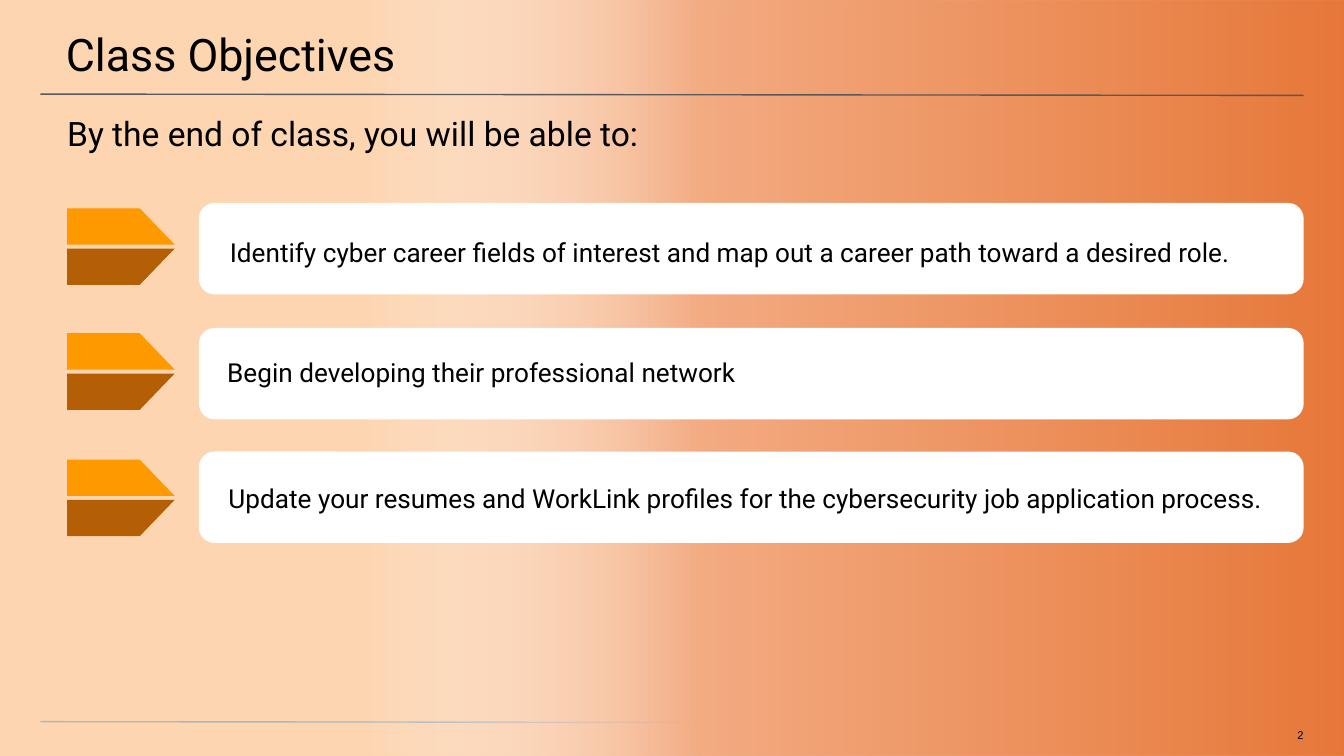
from lxml import etree
from pptx import Presentation
from pptx.dml.color import RGBColor
from pptx.enum.shapes import MSO_CONNECTOR as Connector, MSO_SHAPE as Shape
from pptx.enum.text import MSO_ANCHOR as Anchor, PP_ALIGN as Align
from pptx.oxml import parse_xml
from pptx.oxml.ns import nsdecls, qn
from pptx.util import Inches, Pt


def color(value):
    return RGBColor.from_string(value)


class ObjectivesSlide:
    """Holds the style of the deck and draws elements on the current slide."""

    text_color = "000000"
    font = "Roboto"
    card_fill = "FFFFFF"
    arrow_fills = ("FF9900", "B45F06")

    def __init__(self, slide, background):
        self.slide = slide
        fill = slide.background.fill
        fill.solid()
        fill.fore_color.rgb = color(background)

    def shape(self, kind, left, top, width, height):
        return self.slide.shapes.add_shape(
            kind, Inches(left), Inches(top), Inches(width), Inches(height))

    def flatten(self, shape):
        shape.shadow.inherit = False
        shape.line.fill.background()

    def paint(self, shape, fill):
        self.flatten(shape)
        shape.fill.solid()
        shape.fill.fore_color.rgb = color(fill)

    def gradient(self, left, top, width, height, rotation, stops):
        shape = self.shape(Shape.RECTANGLE, left, top, width, height)
        self.flatten(shape)
        shape.rotation = rotation
        stop_xml = "".join(
            f'<a:gs pos="{position * 1000}"><a:srgbClr val="{value}">'
            f'<a:alpha val="{alpha * 1000}"/></a:srgbClr></a:gs>'
            for position, value, alpha in stops)
        gradient = parse_xml(
            f'<a:gradFill {nsdecls("a")} rotWithShape="1"><a:gsLst>{stop_xml}</a:gsLst>'
            '<a:lin ang="5400000" scaled="0"/></a:gradFill>')
        shape._element.spPr.find(qn("a:prstGeom")).addnext(gradient)

    def line(self, start, end, stroke):
        points = [Inches(value) for value in (*start, *end)]
        line = self.slide.shapes.add_connector(Connector.STRAIGHT, *points)
        line.line.color.rgb = color(stroke)
        line.line.width = Pt(0.75)
        etree.SubElement(line._element.spPr, qn("a:effectLst"))

    def card(self, left, top, width, height):
        card = self.shape(Shape.ROUNDED_RECTANGLE, left, top, width, height)
        card.adjustments[0] = 0.17
        self.paint(card, self.card_fill)

    def arrow(self, left, top):
        width, shoulder, half, gap = 0.8, 0.54, 0.27, 0.03
        upper = top + half
        lower = upper + gap
        halves = ((top, upper), (lower + half, lower))
        for (outer, inner), fill in zip(halves, self.arrow_fills):
            points = [(left, outer), (left, inner),
                      (left + width, inner), (left + shoulder, outer)]
            first, *rest = [(Inches(x), Inches(y)) for x, y in points]
            builder = self.slide.shapes.build_freeform(*first)
            builder.add_line_segments(rest)
            self.paint(builder.convert_to_shape(), fill)

    def text(self, text, box, size, insets, anchor=Anchor.TOP,
             align=Align.LEFT, spacing=1.0, font=None):
        shape = self.slide.shapes.add_textbox(*[Inches(value) for value in box])
        frame = shape.text_frame
        frame.word_wrap = True
        frame.vertical_anchor = anchor
        (frame.margin_left, frame.margin_top, frame.margin_right,
         frame.margin_bottom) = [Inches(value) for value in insets]
        paragraph = frame.paragraphs[0]
        paragraph.alignment = align
        paragraph.line_spacing = spacing
        run = paragraph.add_run()
        run.text = text
        run.font.size = Pt(size)
        run.font.name = font or self.font
        run.font.color.rgb = color(self.text_color)


OBJECTIVES = [
    ("Identify cyber career fields of interest and map out a career path toward a desired role.",
     1.51, 1.55, (1.71, 1.53, 7.99, 0.66), 1.15),
    ("Begin developing their professional network",
     2.44, 2.48, (1.69, 2.44, 8.01, 0.66), 1.0),
    ("Update your resumes and WorkLink profiles for the cybersecurity job application process.",
     3.36, 3.42, (1.7, 3.36, 7.82, 0.66), 1.15),
]


def main():
    presentation = Presentation()
    presentation.slide_width = Inches(10)
    presentation.slide_height = Inches(10 * 9 / 16)
    slide = presentation.slides.add_slide(presentation.slide_layouts[6])
    page = ObjectivesSlide(slide, "FDD5B1")

    page.line((0.3, 5.37), (9.7, 5.38), "A9B7C0")
    page.gradient(2.19, -2.2, 5.63, 10.02, 270, [
        (0, "FFFFFF", 0), (27, "FFFFFF", 0), (52, "F3AB82", 100), (100, "E67738", 100)])
    page.text("2", (9.41, 5.42, 0.29, 0.12), 6, (0, 0, 0, 0.1),
              align=Align.RIGHT, font="Arial")
    for text, card_top, arrow_top, box, spacing in OBJECTIVES:
        page.card(1.48, card_top, 8.22, 0.68)
    page.text("Class Objectives", (-0.01, 0, 10.03, 0.58), 24, (0.5, 0.2, 0.3, 0.1))
    page.text("By the end of class, you will be able to:",
              (0, 0.74, 10, 0.4), 18, (0.5, 0.1, 0.5, 0))
    for text, card_top, arrow_top, box, spacing in OBJECTIVES:
        page.text(text, box, 14, (0, 0.1, 0, 0.1), anchor=Anchor.MIDDLE, spacing=spacing)
        page.arrow(0.5, arrow_top)
    page.line((0.3, 0.7), (9.7, 0.71), "595959")

    presentation.save("out.pptx")


if __name__ == "__main__":
    main()
